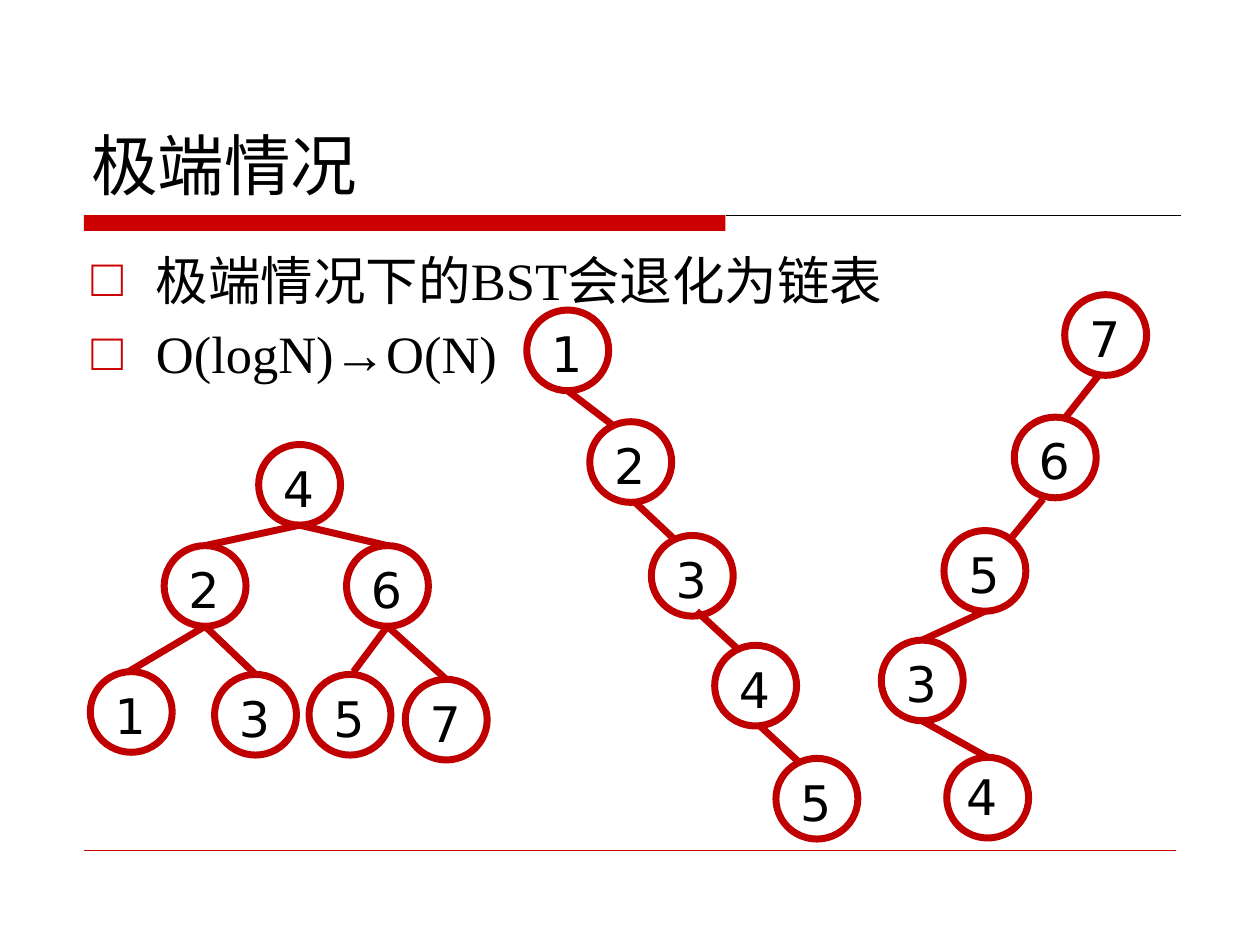
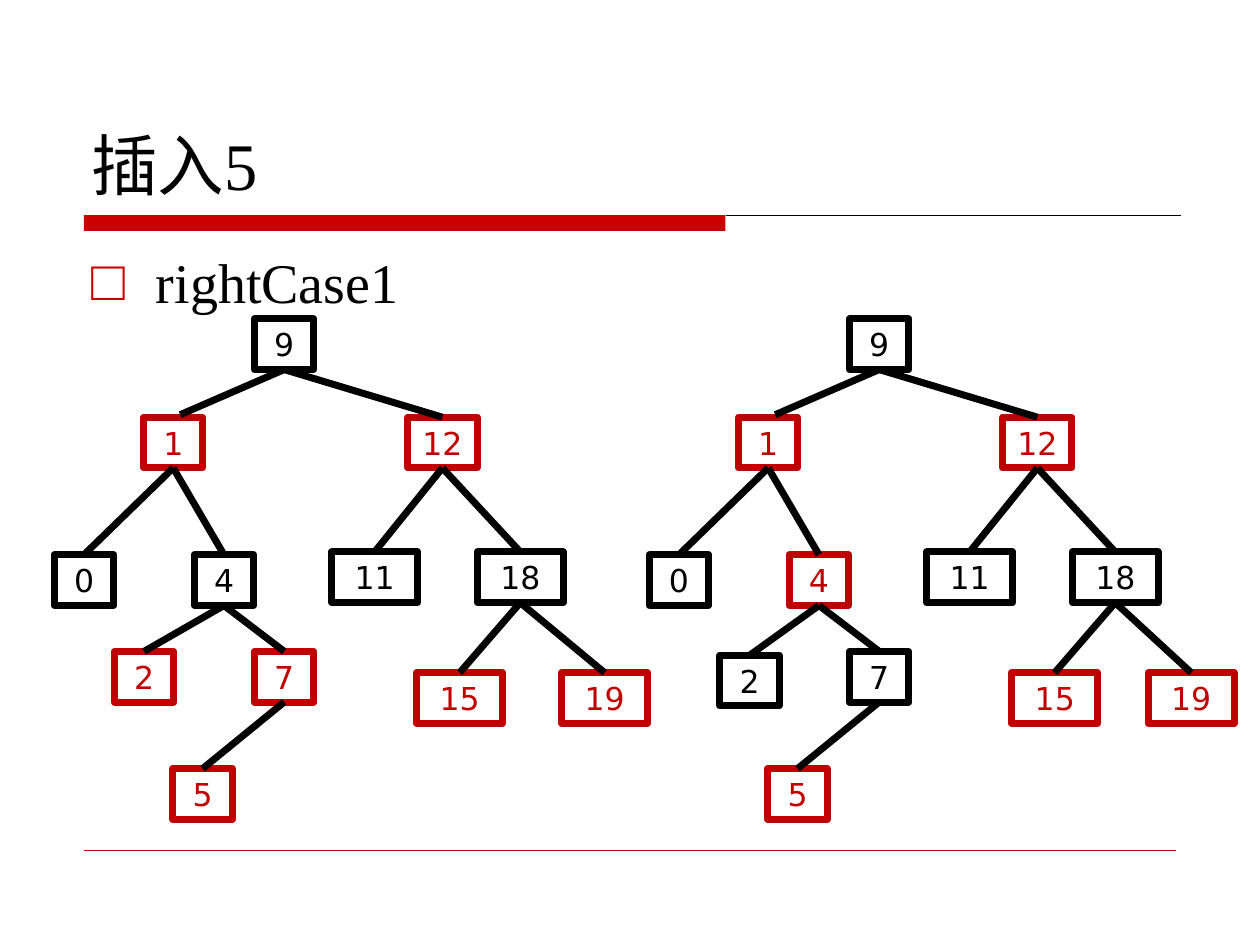
from collections.abc import Callable
from dataclasses import dataclass, replace

from lxml import etree
from pptx import Presentation
from pptx.dml.color import RGBColor
from pptx.enum.shapes import MSO_CONNECTOR, MSO_SHAPE
from pptx.enum.text import MSO_ANCHOR, MSO_AUTO_SIZE, PP_ALIGN
from pptx.oxml.ns import qn
from pptx.shapes.autoshape import Shape
from pptx.shapes.shapetree import GroupShapes
from pptx.slide import Slide
from pptx.text.text import TextFrame, _Paragraph
from pptx.util import Pt

STRAIGHT = MSO_CONNECTOR.STRAIGHT
RECTANGLE, ELLIPSE = MSO_SHAPE.RECTANGLE, MSO_SHAPE.OVAL
TOP, MIDDLE, BOTTOM = MSO_ANCHOR.TOP, MSO_ANCHOR.MIDDLE, MSO_ANCHOR.BOTTOM
LEFT, CENTER = PP_ALIGN.LEFT, PP_ALIGN.CENTER
NO_FIT = MSO_AUTO_SIZE.NONE

BLACK, WHITE = "000000", "FFFFFF"
BAND_RED, NODE_RED = "CC0000", "C00000"
TEXT_FONT, NODE_FONT = "Times New Roman", "DejaVu Sans"
NODE_LINE = 4
CIRCLE_WIDTH, CIRCLE_HEIGHT = 46.8, 46.1
BOX_HEIGHT = 29
TREE_GAP = 340

Point = tuple[float, float]


@dataclass(frozen=True)
class Node:
    """A tree node; leave and enter shift the ends of the edge from its parent."""

    label: str
    left: float
    top: float
    parent: str = ""
    width: float = CIRCLE_WIDTH
    height: float = CIRCLE_HEIGHT
    color: str = NODE_RED
    leave: Point = (0, 0)
    enter: Point = (0, 0)
    label_offset: Point = (6.8, 4.3)


def rgb(color: str) -> RGBColor:
    """Turn a hex string into a colour."""
    return RGBColor.from_string(color)


def add_run(paragraph: _Paragraph, text: str, size: float, font: str, color: str) -> None:
    """Add one formatted run."""
    run = paragraph.add_run()
    run.text = text
    run.font.size = Pt(size)
    run.font.name = font
    run.font.color.rgb = rgb(color)


def add_line(shapes: GroupShapes, start: Point, end: Point, color: str, width: float) -> None:
    """Draw a straight line without a shadow."""
    line = shapes.add_connector(STRAIGHT, *(Pt(value) for value in (*start, *end)))
    line.line.color.rgb = rgb(color)
    line.line.width = Pt(width)
    etree.SubElement(line.element.spPr, qn("a:effectLst"))


def add_outline(shapes: GroupShapes, node: Node, kind: MSO_SHAPE) -> Shape:
    """Draw the unfilled outline of a node."""
    bounds = (node.left, node.top, node.width, node.height)
    shape = shapes.add_shape(kind, *(Pt(value) for value in bounds))
    shape.shadow.inherit = False
    shape.fill.background()
    shape.line.color.rgb = rgb(node.color)
    shape.line.width = Pt(NODE_LINE)
    return shape


def draw_circle(shapes: GroupShapes, node: Node) -> None:
    """Draw a round node with its label in a text box."""
    add_outline(shapes, node, ELLIPSE)
    shift_x, shift_y = node.label_offset
    bounds = (node.left + shift_x, node.top + shift_y, 36.7, 41)
    text_box = shapes.add_textbox(*(Pt(value) for value in bounds))
    text_box.text_frame.word_wrap = True
    add_run(text_box.text_frame.paragraphs[0], node.label, 28, NODE_FONT, BLACK)


def draw_box(shapes: GroupShapes, node: Node) -> None:
    """Draw a square node with its label inside."""
    frame = add_outline(shapes, node, RECTANGLE).text_frame
    frame.word_wrap = True
    frame.vertical_anchor = MIDDLE
    frame.paragraphs[0].alignment = CENTER
    add_run(frame.paragraphs[0], node.label, 18, NODE_FONT, node.color)


def draw_tree(
    slide: Slide,
    nodes: list[Node],
    draw_node: Callable[[GroupShapes, Node], None],
    edge_color: str,
) -> None:
    """Draw the nodes as a group, each joined to the bottom of its parent."""
    shapes = slide.shapes.add_group_shape().shapes
    by_label = {node.label: node for node in nodes}
    for node in nodes:
        draw_node(shapes, node)
    for node in nodes:
        if node.parent:
            parent = by_label[node.parent]
            start = (
                parent.left + parent.width / 2 + node.leave[0],
                parent.top + parent.height + node.leave[1],
            )
            end = (node.left + node.width / 2 + node.enter[0], node.top + node.enter[1])
            add_line(shapes, start, end, edge_color, NODE_LINE)


def box(label: str, left: float, top: float, parent: str = "", width: float = 34,
        enter: Point = (0, 0)) -> Node:
    """Describe a square node."""
    return Node(label, left, top, parent, width, BOX_HEIGHT, BLACK, enter=enter)


def paint(nodes: list[Node], red_labels: set[str]) -> list[Node]:
    """Colour the nodes with the given labels red."""
    return [replace(node, color=NODE_RED) if node.label in red_labels else node for node in nodes]


def place(shape: Shape, left: float, top: float, width: float, height: float,
          anchor: MSO_ANCHOR) -> TextFrame:
    """Move a placeholder and return its text frame."""
    shape.left, shape.top, shape.width, shape.height = map(Pt, (left, top, width, height))
    frame = shape.text_frame
    frame.auto_size = NO_FIT
    frame.vertical_anchor = anchor
    return frame


def add_bullet(paragraph: _Paragraph) -> None:
    """Give a paragraph a red square bullet and a hanging indent."""
    properties = paragraph._p.get_or_add_pPr()
    properties.set("marL", str(Pt(36.9)))
    properties.set("indent", str(Pt(-36.9)))
    color = etree.SubElement(properties, qn("a:buClr"))
    etree.SubElement(color, qn("a:srgbClr"), val=BAND_RED)
    etree.SubElement(properties, qn("a:buFont"), typeface=TEXT_FONT)
    etree.SubElement(properties, qn("a:buChar"), char="□")


def add_slide(presentation: Presentation, title: str, items: list[str], size: float) -> Slide:
    """Add a slide with band, footer line, title and bullet list."""
    slide = presentation.slides.add_slide(presentation.slide_layouts[1])
    band = slide.shapes.add_shape(RECTANGLE, Pt(48), Pt(123), Pt(366.6), Pt(9))
    band.shadow.inherit = False
    band.fill.solid()
    band.fill.fore_color.rgb = rgb(BAND_RED)
    band.line.fill.background()
    add_line(slide.shapes, (414.6, 123), (674.6, 123), BLACK, 0.75)
    add_line(slide.shapes, (48, 486), (672, 486), BAND_RED, 0.25)

    heading = place(slide.shapes.title, 45, 24, 630, 96, BOTTOM).paragraphs[0]
    heading.alignment = LEFT
    add_run(heading, title, 38, TEXT_FONT, BLACK)

    frame = place(slide.placeholders[1], 45, 138, 630, 336, TOP)
    for index, item in enumerate(items):
        paragraph = frame.add_paragraph() if index else frame.paragraphs[0]
        add_bullet(paragraph)
        add_run(paragraph, item, size, TEXT_FONT, BLACK)
    return slide


def add_extreme_cases(presentation: Presentation) -> None:
    """Build the slide with a balanced tree and two degenerate ones."""
    slide = add_slide(presentation, "极端情况", ["极端情况下的BST会退化为链表", "O(logN)→O(N)"], 30)
    balanced = [
        Node("4", 147.8, 254),
        Node("2", 93.8, 311.8, "4"),
        Node("6", 198, 311.8, "4"),
        Node("1", 51.6, 383.8, "2", enter=(-1.5, 0)),
        Node("3", 122.6, 385.4, "2"),
        Node("5", 176.6, 385.4, "6", enter=(2, -1.5)),
        Node("7", 231.6, 388.2, "6"),
    ]
    enter = (-11, 1.4)
    rising = [
        Node("1", 301, 177.2),
        Node("2", 337, 241, "1", enter=enter),
        Node("3", 372.2, 306, "2", leave=(2, -0.5), enter=enter),
        Node("4", 408.4, 368.8, "3", leave=(2.5, -2.8), enter=enter),
        Node("5", 443.4, 433.4, "4", leave=(2, -0.5), enter=enter),
    ]
    falling = [
        Node("7", 608.4, 168.4),
        Node("6", 579.6, 238.4, "7", leave=(-4, 0), enter=(5.4, 0.7)),
        Node("5", 539.4, 303.2, "6", leave=(-7, 0.7), enter=(14, 5.6)),
        Node("3", 503.6, 365.8, "5"),
        Node("4", 541, 432.8, "3", label_offset=(4, 1.4)),
    ]
    for nodes in (balanced, rising, falling):
        draw_tree(slide, nodes, draw_circle, NODE_RED)


def add_insertion(presentation: Presentation) -> None:
    """Build the slide with the tree before and after recolouring."""
    slide = add_slide(presentation, "插入5", ["rightCase1"], 32)
    before = [
        box("9", 145.4, 182.2),
        box("1", 82, 238.4, "9", enter=(4, -1.4)),
        box("12", 233, 238.4, "9", 39.6),
        box("0", 31, 317, "1"),
        box("4", 111, 317, "1"),
        box("11", 189.6, 315.4, "12", 49),
        box("18", 272.8, 315.4, "12", 49),
        box("2", 65.4, 372.2, "4"),
        box("7", 145.4, 372.2, "4"),
        box("15", 238.2, 384.4, "18", 49),
        box("19", 321, 384.4, "18", 49),
        box("5", 98.8, 439.2, "7"),
    ]
    moved = {"2": (71.4, 374.4), "19": (316.2, 384.4)}
    after = []
    for node in before:
        left, top = moved.get(node.label, (node.left, node.top))
        after.append(replace(node, left=left + TREE_GAP, top=top))
    always_red = {"1", "12", "15", "19", "5"}
    draw_tree(slide, paint(before, always_red | {"2", "7"}), draw_box, BLACK)
    draw_tree(slide, paint(after, always_red | {"4"}), draw_box, BLACK)


def main() -> None:
    """Build and save the presentation."""
    presentation = Presentation()
    presentation.slide_width, presentation.slide_height = Pt(720), Pt(540)
    background = presentation.slide_master.background.fill
    background.solid()
    background.fore_color.rgb = rgb(WHITE)
    add_extreme_cases(presentation)
    add_insertion(presentation)
    presentation.save("out.pptx")


if __name__ == "__main__":
    main()
